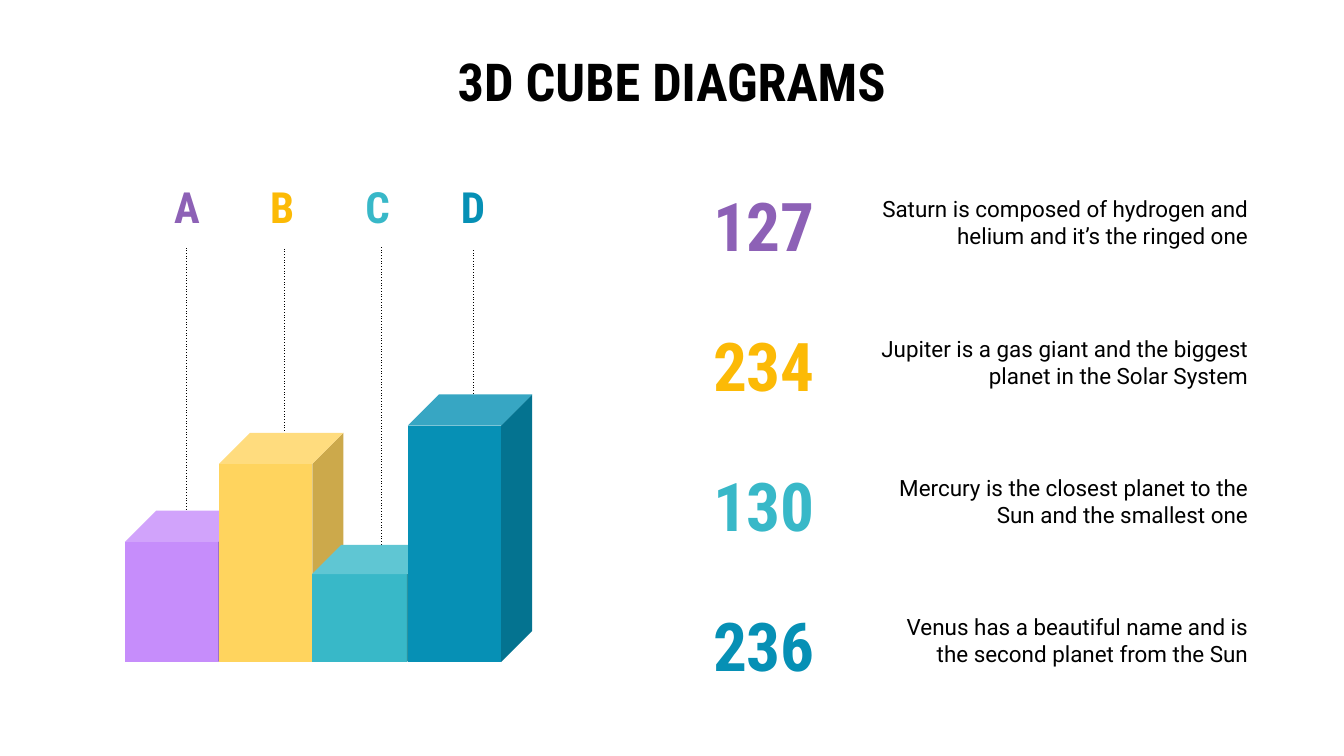
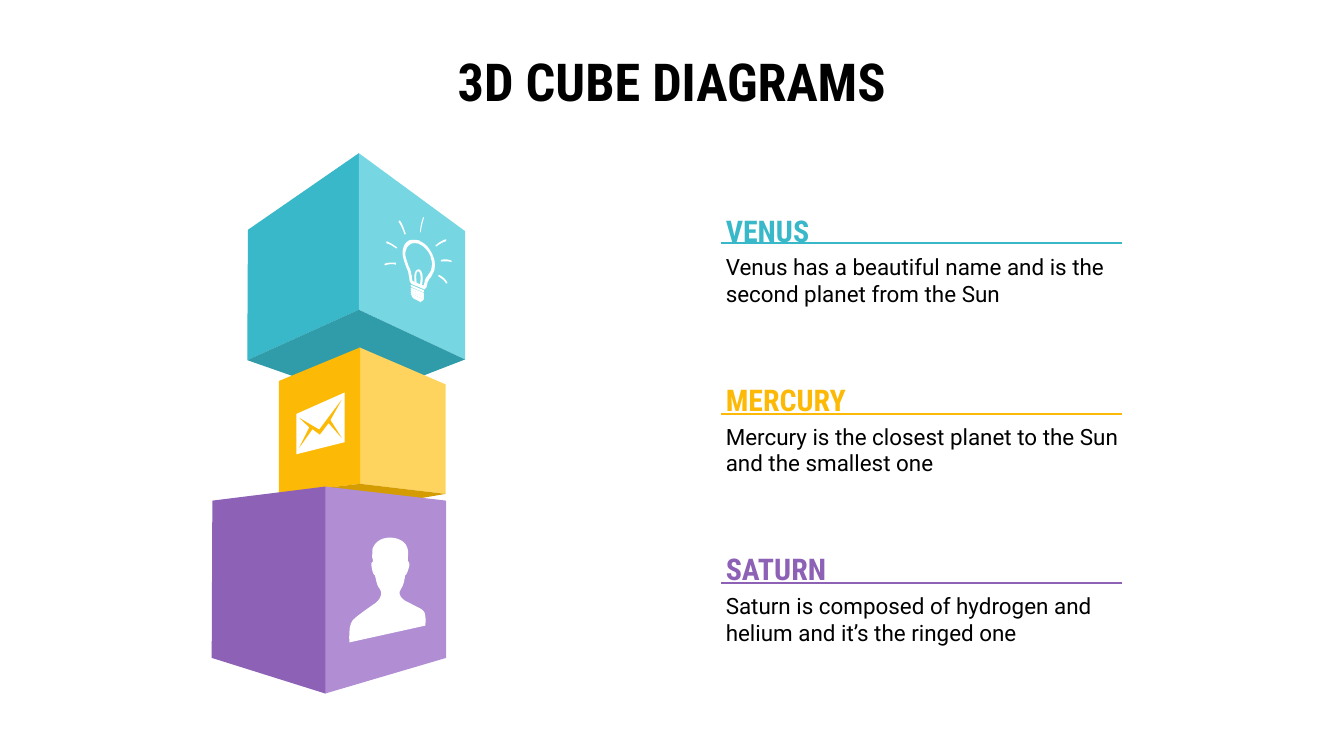
from lxml import etree
from pptx import Presentation
from pptx.dml.color import RGBColor
from pptx.enum.shapes import MSO_CONNECTOR, MSO_SHAPE
from pptx.enum.text import MSO_ANCHOR, PP_ALIGN
from pptx.oxml.ns import qn
from pptx.util import Inches, Pt

LEFT, CENTER, RIGHT = PP_ALIGN.LEFT, PP_ALIGN.CENTER, PP_ALIGN.RIGHT
TOP, MIDDLE = MSO_ANCHOR.TOP, MSO_ANCHOR.MIDDLE
STRAIGHT, CUBE = MSO_CONNECTOR.STRAIGHT, MSO_SHAPE.CUBE
BOTTOM_SITE = 2

HEADING_FONT, BODY_FONT = "Roboto Condensed", "Roboto"
COLORS = {
    "black": "000000", "white": "FFFFFF",
    "purple": "8D61B6", "lilac": "B18DD3", "violet": "C68DFB",
    "amber": "FCBA06", "yellow": "FFD45E", "ochre": "D59C01",
    "teal": "38B8C8", "aqua": "76D7E3", "deep teal": "319CA9",
    "blue": "0690B5",
}
TITLE = "3D CUBE DIAGRAMS"
PLANETS = {
    "SATURN": "Saturn is composed of hydrogen and helium and it’s the ringed one",
    "JUPITER": "Jupiter is a gas giant and the biggest planet in the Solar System",
    "MERCURY": "Mercury is the closest planet to the Sun and the smallest one",
    "VENUS": "Venus has a beautiful name and is the second planet from the Sun",
}

# letter, number, planet, text colour, cube colour, cube left, cube top, line x, line top, line foot
BARS = [
    ("A", "127", "SATURN", "purple", "violet", 1.86, 7.6, 2.78, 3.69, 8.85),
    ("B", "234", "JUPITER", "amber", "yellow", 3.26, 6.44, 4.23, 3.69, 7.19),
    ("C", "130", "MERCURY", "teal", "teal", 4.64, 8.11, 5.68, 3.67, 8.76),
    ("D", "236", "VENUS", "blue", "blue", 6.07, 5.87, 7.04, 3.69, 5.94),
]
CUBE_WIDTH, CUBE_FOOT = 1.85, 9.85
LETTER_LEFT, LETTER_PITCH, LETTER_WIDTH = 2.09, 1.42, 1.38

# planet, colour, top of the heading, height of the rule
SECTIONS = [
    ("VENUS", "teal", 2.88, 3.62),
    ("MERCURY", "amber", 5.4, 6.16),
    ("SATURN", "purple", 7.92, 8.68),
]

# Outlines in inches: M starts a contour, L adds lines, C adds Bézier curves.
TOP_CUBE = [
    ("teal", "M 5.34 2.28 L 3.69 3.42 3.68 5.36 5.34 4.61"),
    ("aqua", "M 5.34 2.28 L 5.34 4.61 6.92 5.35 6.92 3.44"),
    ("deep teal", "M 5.34 4.61 L 3.68 5.36 5.37 5.95 6.92 5.35"),
]
MIDDLE_CUBE = [
    ("yellow", "M 5.35 5.17 L 5.35 7.2 6.63 7.35 6.63 5.72"),
    ("amber", "M 5.36 5.17 L 4.15 5.67 4.15 7.34 5.36 7.2"),
    ("ochre", "M 5.36 7.2 L 4.15 7.34 5.7 7.51 6.63 7.35"),
]
BOTTOM_CUBE = [
    ("lilac", "M 4.84 7.24 L 4.84 10.32 6.64 9.79 6.64 7.45"),
    ("purple", "M 4.84 7.24 L 3.16 7.45 3.15 9.79 4.84 10.32"),
]
BULB_RAYS = [
    "M 6.64 3.56 C 6.57 3.57 6.49 3.65 6.48 3.65 L 6.49 3.67 C 6.49 3.67 6.58 3.6 6.64 3.59",
    "M 6.3 3.23 C 6.26 3.31 6.25 3.45 6.25 3.46 L 6.26 3.46 C 6.26 3.46 6.28 3.32 6.31 3.24",
    "M 6.63 3.86 C 6.59 3.86 6.56 3.87 6.56 3.87 L 6.56 3.89 C 6.56 3.89 6.59 3.89 6.62 3.89 "
    "6.65 3.89 6.69 3.89 6.72 3.9 L 6.72 3.88 C 6.7 3.87 6.66 3.86 6.63 3.86",
    "M 5.75 3.59 L 5.75 3.62 C 5.81 3.63 5.9 3.7 5.9 3.7 L 5.91 3.68 C 5.9 3.68 5.82 3.61 5.75 3.59",
    "M 5.95 3.28 L 5.93 3.3 C 5.98 3.36 6.02 3.49 6.02 3.49 L 6.04 3.48 C 6.03 3.47 6 3.34 5.95 3.28",
    "M 5.83 3.91 C 5.79 3.91 5.75 3.91 5.72 3.93 L 5.73 3.95 C 5.76 3.94 5.8 3.93 5.83 3.93 "
    "5.86 3.93 5.89 3.94 5.89 3.94 L 5.89 3.91 C 5.89 3.91 5.86 3.91 5.83 3.91",
    "M 6.53 4.09 L 6.52 4.11 C 6.52 4.11 6.61 4.16 6.64 4.22 L 6.66 4.21 C 6.63 4.14 6.54 4.09 6.53 4.09",
]
BULB_THREADS = [
    f"M 6.12 {y:.2f} L 6.11 {y + .01:.2f} 6.12 {y + .03:.2f} "
    f"6.3 {y + .11:.2f} 6.31 {y + .1:.2f} 6.31 {y + .08:.2f}"
    for y in (4.24, 4.28, 4.31, 4.34)
]
BULB_BASE = (
    "M 6.12 4.37 L 6.11 4.38 6.12 4.38 C 6.12 4.39 6.13 4.4 6.13 4.41 L 6.14 4.43 6.15 4.43 "
    "C 6.15 4.44 6.16 4.45 6.17 4.45 L 6.25 4.49 C 6.26 4.5 6.27 4.5 6.27 4.48 "
    "L 6.28 4.48 6.3 4.46 6.31 4.46 6.3 4.45"
)
FILAMENT = (
    "M 6.22 4.04 L 6.23 4.04 C 6.27 4.06 6.26 4.18 6.25 4.23 L 6.23 4.22 6.2 4.21 "
    "C 6.19 4.14 6.19 4.06 6.21 4.04"
)
GLASS_INSIDE = (
    "M 6.16 3.62 C 6.19 3.62 6.21 3.62 6.24 3.63 L 6.25 3.64 C 6.3 3.66 6.34 3.7 6.38 3.76 "
    "6.39 3.78 6.41 3.81 6.41 3.83 6.42 3.87 6.43 3.9 6.43 3.93 L 6.43 3.94 "
    "C 6.42 3.98 6.42 4.01 6.41 4.03 6.4 4.05 6.38 4.08 6.37 4.09 L 6.36 4.11 "
    "C 6.34 4.13 6.33 4.15 6.32 4.18 6.32 4.19 6.32 4.2 6.31 4.22 L 6.31 4.23 6.3 4.25 6.28 4.24 "
    "C 6.29 4.2 6.31 4.04 6.24 4.01 6.23 4.01 6.21 4.01 6.2 4.02 6.16 4.05 6.16 4.14 6.17 4.2 "
    "L 6.14 4.18 C 6.13 4.17 6.13 4.15 6.13 4.13 6.13 4.12 6.13 4.1 6.12 4.09 "
    "6.12 4.06 6.11 4.03 6.1 4 L 6.08 3.96 C 6.06 3.89 6.03 3.84 6.03 3.77 "
    "6.04 3.71 6.06 3.66 6.1 3.64 6.12 3.62 6.14 3.62 6.16 3.62"
)
GLASS_OUTSIDE = (
    "M 6.15 3.57 C 6.12 3.57 6.09 3.57 6.07 3.59 6.02 3.62 6 3.67 5.99 3.75 "
    "5.99 3.83 6.02 3.9 6.04 3.96 L 6.06 4.01 C 6.07 4.03 6.08 4.06 6.08 4.09 L 6.09 4.12 "
    "C 6.09 4.15 6.09 4.19 6.12 4.22 L 6.13 4.23 6.18 4.25 6.23 4.27 6.3 4.3 6.31 4.31 6.32 4.3 "
    "C 6.33 4.29 6.35 4.28 6.35 4.26 L 6.36 4.21 C 6.37 4.19 6.38 4.17 6.39 4.15 L 6.41 4.13 "
    "C 6.42 4.11 6.43 4.09 6.44 4.07 6.46 4.04 6.47 4.01 6.47 3.96 L 6.47 3.94 "
    "C 6.47 3.91 6.47 3.87 6.45 3.83 6.44 3.79 6.42 3.76 6.41 3.74 "
    "6.37 3.67 6.32 3.62 6.25 3.59 L 6.24 3.58 C 6.21 3.57 6.18 3.57 6.15 3.57"
)
ENVELOPE = (
    "M 5.11 5.91 L 4.92 6.25 5.11 6.55 4.89 6.3 4.76 6.47 4.65 6.39 4.43 6.7 "
    "4.6 6.36 4.43 6.2 4.75 6.39 M 5.13 5.84 L 4.41 6.16 4.41 6.76 5.13 6.58"
)
PERSON = (
    "M 5.81 8 C 5.7 8 5.6 8.04 5.55 8.15 5.54 8.17 5.54 8.23 5.54 8.29 L 5.54 8.3 "
    "C 5.55 8.32 5.55 8.34 5.55 8.36 5.53 8.37 5.52 8.38 5.53 8.43 5.54 8.5 5.56 8.56 5.58 8.56 "
    "5.6 8.64 5.61 8.72 5.65 8.76 5.73 8.86 5.59 8.98 5.58 8.98 5.58 8.98 5.3 9.17 5.25 9.23 "
    "5.18 9.3 5.2 9.56 5.2 9.56 L 6.33 9.31 C 6.33 9.31 6.35 9.13 6.3 9.09 "
    "6.25 9.04 6.19 9.03 6.11 8.98 L 6.03 8.94 C 6.03 8.94 5.89 8.86 5.97 8.76 "
    "6 8.72 6.02 8.64 6.03 8.56 6.05 8.56 6.07 8.5 6.09 8.43 6.1 8.38 6.08 8.36 6.07 8.35 "
    "L 6.07 8.29 C 6.08 8.23 6.07 8.17 6.06 8.15 6.04 8.06 5.92 8 5.81 8"
)
# Each icon part is a tuple of outlines that make one shape.
BULB_GLASS = (FILAMENT, GLASS_INSIDE, GLASS_OUTSIDE)
BULB = [(part,) for part in BULB_RAYS + BULB_THREADS + [BULB_BASE]] + [BULB_GLASS]
CUBE_STACK = [
    (TOP_CUBE, BULB),
    (MIDDLE_CUBE, [(ENVELOPE,)]),
    (BOTTOM_CUBE, [(PERSON,)]),
]
CURVE_STEPS = 6


def rgb(name):
    return RGBColor.from_string(COLORS[name])


def add_text(slide, text, box, size, color="black", font=HEADING_FONT, align=CENTER, anchor=TOP):
    shape = slide.shapes.add_textbox(*map(Inches, box))
    frame = shape.text_frame
    frame.word_wrap = True
    frame.vertical_anchor = anchor
    frame.margin_left = frame.margin_right = Inches(0.2)
    frame.margin_top = frame.margin_bottom = Inches(0.2)
    paragraph = frame.paragraphs[0]
    paragraph.alignment = align
    run = paragraph.add_run()
    run.text = text
    run.font.name = font
    run.font.size = Pt(size)
    run.font.bold = font == HEADING_FONT
    run.font.color.rgb = rgb(color)
    return shape


def add_line(slide, start, end, color, width, dash=None):
    connector = slide.shapes.add_connector(STRAIGHT, *map(Inches, start + end))
    connector.line.color.rgb = rgb(color)
    connector.line.width = Pt(width)
    if dash:
        etree.SubElement(connector.get_or_add_ln(), qn("a:prstDash"), val=dash)
    etree.SubElement(connector._element.spPr, qn("a:effectLst"))
    return connector


def paint(shape, color):
    shape.shadow.inherit = False
    shape.fill.solid()
    shape.fill.fore_color.rgb = rgb(color)
    shape.line.fill.background()


def bezier(points):
    """Return points along a cubic curve, without its first point."""
    curve = []
    for step in range(1, CURVE_STEPS + 1):
        t = step / CURVE_STEPS
        weights = ((1 - t) ** 3, 3 * t * (1 - t) ** 2, 3 * t * t * (1 - t), t ** 3)
        curve.append(tuple(sum(w * p[axis] for w, p in zip(weights, points)) for axis in (0, 1)))
    return curve


def read_contours(outline):
    contours, command, numbers = [], None, []
    for token in outline.split():
        if token.isalpha():
            command = token
            continue
        numbers.append(float(token))
        if len(numbers) < (6 if command == "C" else 2):
            continue
        points = list(zip(numbers[::2], numbers[1::2]))
        numbers = []
        if command == "M":
            contours.append(points)
        elif command == "L":
            contours[-1] += points
        else:
            contours[-1] += bezier([contours[-1][-1]] + points)
    return contours


def add_outlines(slide, outlines, color):
    """Draw all contours of the outlines as one freeform."""
    builder = None
    for contour in sum(map(read_contours, outlines), []):
        points = [(Inches(x), Inches(y)) for x, y in contour]
        if builder is None:
            builder = slide.shapes.build_freeform(*points[0])
        else:
            builder.move_to(*points[0])
        builder.add_line_segments(points[1:], close=True)
    paint(builder.convert_to_shape(), color)


def add_titled_slide(presentation):
    slide = presentation.slides.add_slide(presentation.slide_layouts[6])
    add_text(slide, TITLE, (1, 0.53, 18, 1.25), 56)
    return slide


def build_bar_slide(presentation):
    slide = add_titled_slide(presentation)
    for i, (letter, number, planet, color, _, _, _, x, top, foot) in enumerate(BARS):
        letter_left = LETTER_LEFT + LETTER_PITCH * i
        label = add_text(slide, letter, (letter_left, 2.45, LETTER_WIDTH, 1.24), 46, color, anchor=MIDDLE)
        line = add_line(slide, (x, foot), (x, top), "black", 0.75, "dot")
        if abs(letter_left + LETTER_WIDTH / 2 - x) < 0.01:
            line.end_connect(label, BOTTOM_SITE)
        add_text(slide, number, (10, 2.72 + 6.25 / 3 * i, 2.74, 1.24), 72, color, anchor=MIDDLE)
        add_text(slide, PLANETS[planet], (12.81, 2.71 + 6.22 / 3 * i, 5.96, 1.25), 24,
                 font=BODY_FONT, align=RIGHT)
    for _, _, _, _, color, left, top, *_ in BARS:
        cube = slide.shapes.add_shape(CUBE, *map(Inches, (left, top, CUBE_WIDTH, CUBE_FOOT - top)))
        cube.adjustments[0] = 0.25
        paint(cube, color)


def build_stack_slide(presentation):
    slide = add_titled_slide(presentation)
    for faces, icon in CUBE_STACK:
        for color, face in faces:
            add_outlines(slide, (face,), color)
        for part in icon:
            add_outlines(slide, part, "white")
    for planet, color, top, rule in SECTIONS:
        add_text(slide, PLANETS[planet], (10.6, top + 0.69, 6.31, 1.25), 24, font=BODY_FONT, align=LEFT)
        heading = add_text(slide, planet, (10.6, top, 6.31, 0.84), 32, color, align=LEFT)
        paragraph = heading.text_frame.paragraphs[0]
        paragraph.line_spacing = 1.15
        paragraph.space_after = Pt(32)
        add_line(slide, (16.69, rule), (10.73, rule), color, 2.25)


def main():
    presentation = Presentation()
    presentation.slide_width, presentation.slide_height = Inches(20), Inches(11.25)
    build_bar_slide(presentation)
    build_stack_slide(presentation)
    presentation.save("out.pptx")


if __name__ == "__main__":
    main()
